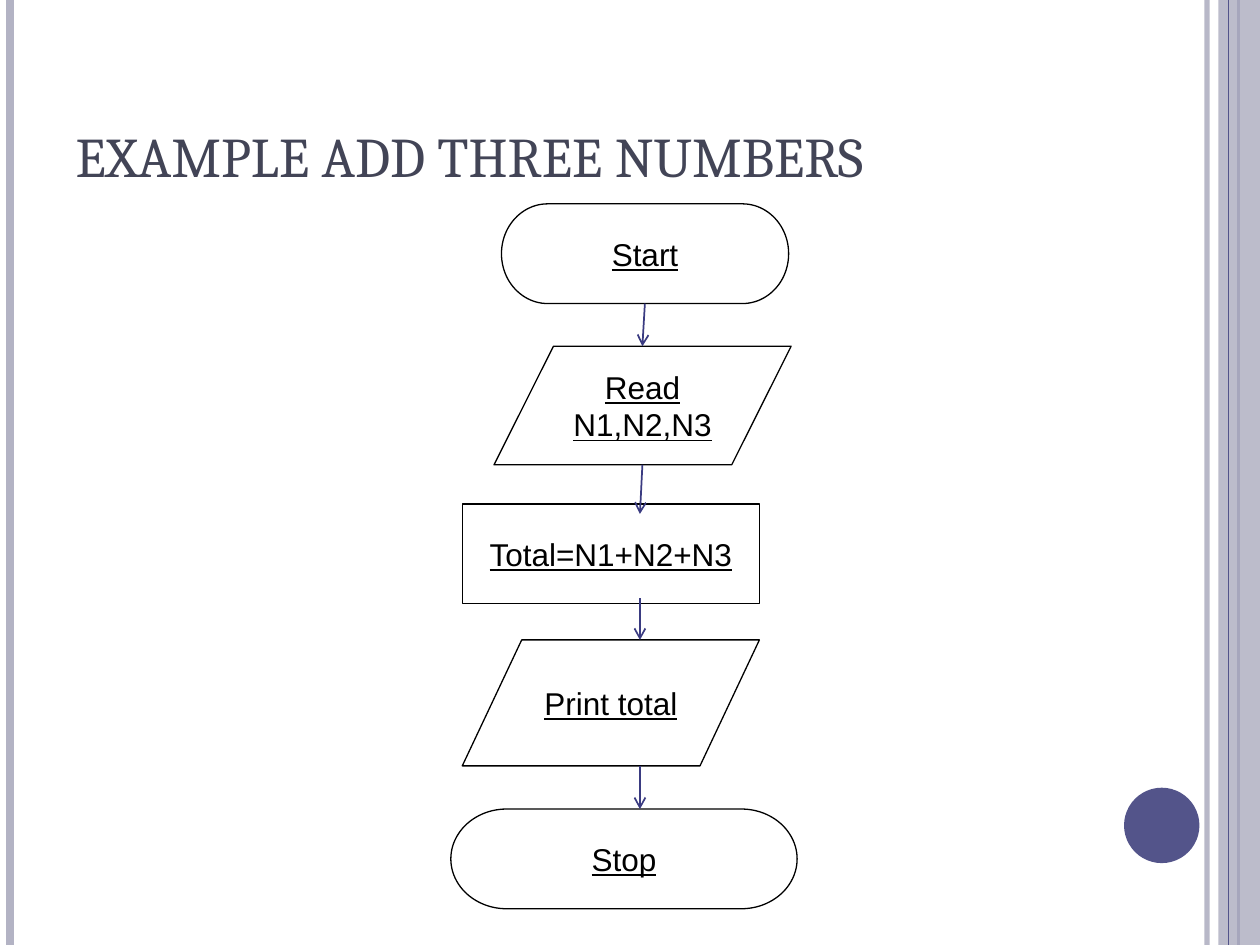
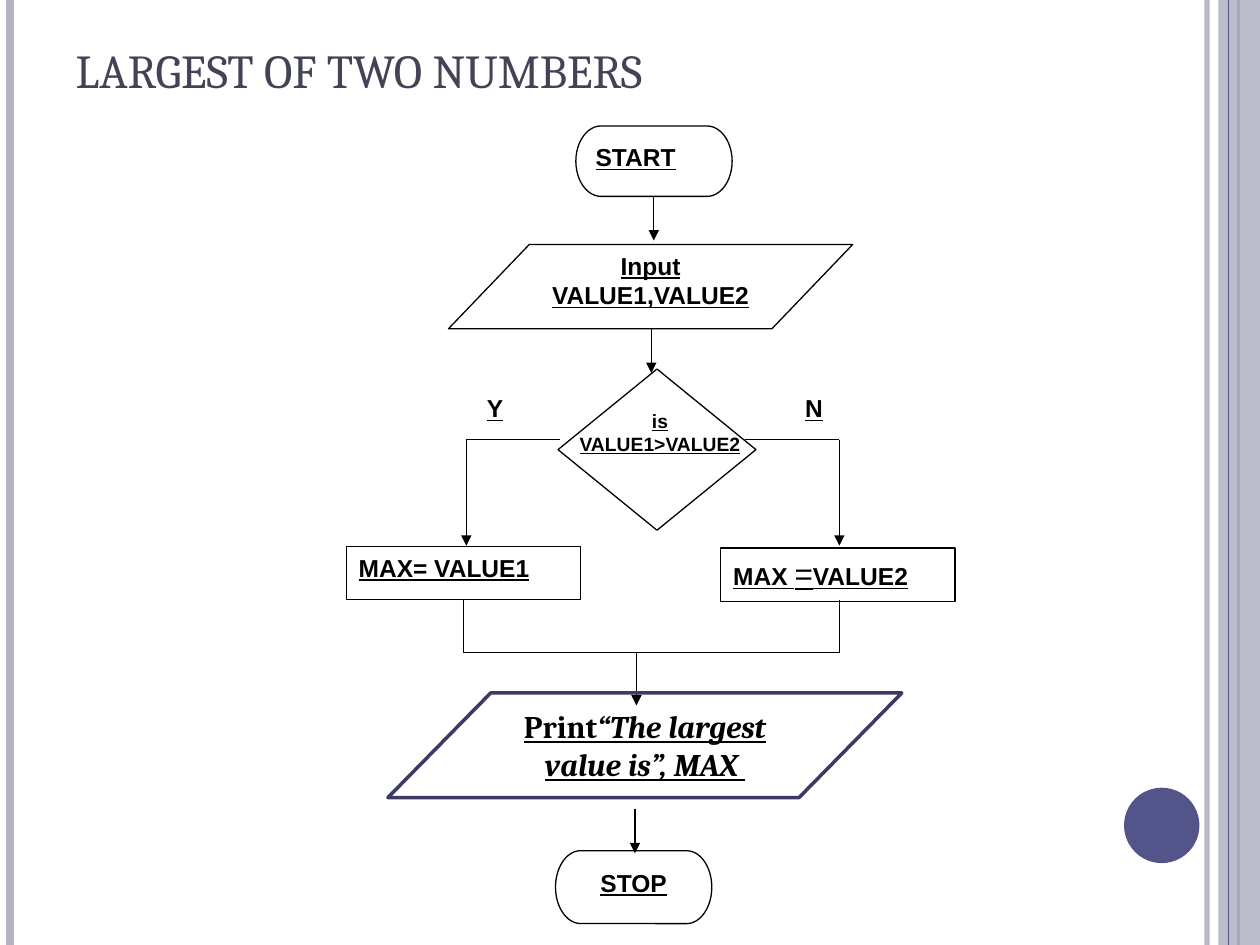
from dataclasses import dataclass

from lxml import etree
from pptx import Presentation
from pptx.dml.color import RGBColor
from pptx.enum.shapes import MSO_CONNECTOR, MSO_SHAPE
from pptx.enum.text import MSO_ANCHOR, MSO_AUTO_SIZE, PP_ALIGN
from pptx.oxml.ns import qn
from pptx.util import Cm, Pt

STRAIGHT = MSO_CONNECTOR.STRAIGHT
PROCESS = MSO_SHAPE.FLOWCHART_PROCESS
DATA = MSO_SHAPE.FLOWCHART_DATA
TERMINATOR = MSO_SHAPE.FLOWCHART_TERMINATOR
DECISION = MSO_SHAPE.FLOWCHART_DECISION
LEFT, CENTER = PP_ALIGN.LEFT, PP_ALIGN.CENTER
TOP, MIDDLE, BOTTOM = MSO_ANCHOR.TOP, MSO_ANCHOR.MIDDLE, MSO_ANCHOR.BOTTOM


@dataclass(frozen=True)
class Theme:
    title: str = "424456"
    band: str = "B3B3C4"
    accent: str = "53548A"
    ink: str = "000000"
    arrow: str = "3A3B81"
    frame: str = "3B3B64"
    head_font: str = "Cambria"
    body_font: str = "Arial"
    body: int = 18
    label: int = 14
    small: int = 11
    thin: float = 0.75


T = Theme()


def add_line(s, x1, y1, x2, y2, color=T.ink, width=T.thin, tail=None, alpha=None):
    c = s.shapes.add_connector(STRAIGHT, Cm(x1), Cm(y1), Cm(x2), Cm(y2))
    c.line.color.rgb = RGBColor.from_string(color)
    c.line.width = Pt(width)
    spPr = c._element.spPr
    if alpha:
        etree.SubElement(spPr.find(".//" + qn("a:srgbClr")), qn("a:alpha"), val=str(alpha * 1000))
    if tail:
        etree.SubElement(spPr.find(qn("a:ln")), qn("a:tailEnd"), type=tail)
    etree.SubElement(spPr, qn("a:effectLst"))


def add_node(s, kind, box, paragraphs, size, bold=False, align=CENTER, anchor=TOP,
             wrap=True, font=T.body_font, color=T.ink, width=T.thin):
    box = [Cm(v) for v in box]
    if kind is None:
        sp = s.shapes.add_textbox(*box)
    else:
        sp = s.shapes.add_shape(kind, *box)
        sp.shadow.inherit = False
        sp.fill.background()
        sp.line.color.rgb = RGBColor.from_string(color)
        sp.line.width = Pt(width)
    tf = sp.text_frame
    tf.word_wrap = wrap
    tf.vertical_anchor = anchor
    for i, runs in enumerate(paragraphs):
        p = tf.add_paragraph() if i else tf.paragraphs[0]
        p.alignment = align
        for text, changes in runs:
            r = p.add_run()
            r.text = text
            r.font.color.rgb = RGBColor.from_string(T.ink)
            look = dict(name=font, size=Pt(size), bold=bold, underline=True)
            for name, value in {**look, **changes}.items():
                setattr(r.font, name, value)


prs = Presentation()
prs.slide_width, prs.slide_height = Cm(25.4), Cm(19.05)
layout = prs.slide_layouts[5]
for ph in list(layout.placeholders):
    if ph.placeholder_format.idx:
        ph._element.getparent().remove(ph._element)

slides = []
for text, height, size in [("EXAMPLE ADD THREE NUMBERS", 3.18, 32),
                           ("LARGEST OF TWO NUMBERS", 1.35, 27)]:
    s = prs.slides.add_slide(layout)
    slides.append(s)
    sp = s.shapes.title
    sp.left, sp.top, sp.width, sp.height = Cm(1.27), Cm(0.76), Cm(20.75), Cm(height)
    tf = sp.text_frame
    tf.auto_size = MSO_AUTO_SIZE.NONE
    tf.word_wrap = True
    tf.vertical_anchor = BOTTOM
    p = tf.paragraphs[0]
    p.alignment = LEFT
    r = p.add_run()
    r.text = text
    r.font.name = T.head_font
    r.font.size = Pt(size)
    r.font.color.rgb = RGBColor.from_string(T.title)

s = slides[0]
for x, color, width, alpha in [(24.33, T.band, 3, 93), (0.2, T.band, 4.5, None),
                               (24.97, T.accent, 1.5, None)]:
    add_line(s, x, 0, x, 19.05, color, width, alpha=alpha)
side = s.shapes.add_shape(MSO_SHAPE.RECTANGLE, Cm(24.56), 0, Cm(0.84), Cm(19.05))
add_line(s, 24.77, 0, 24.77, 19.05, T.accent)
disc = s.shapes.add_shape(MSO_SHAPE.OVAL, Cm(22.66), Cm(15.88), Cm(1.52), Cm(1.52))
for sp, color in [(side, T.band), (disc, T.accent)]:
    sp.shadow.inherit = False
    sp.fill.solid()
    sp.fill.fore_color.rgb = RGBColor.from_string(color)
    sp.line.fill.background()
etree.SubElement(side._element.spPr.find(".//" + qn("a:srgbClr")), qn("a:alpha"), val="87000")
for sp in list(s.shapes):
    if not sp.is_placeholder:
        layout.shapes._spTree.append(sp._element)

for kind, box, lines in [
    (TERMINATOR, (10.11, 4.11, 5.79, 2.01), ["Start"]),
    (DATA, (9.96, 6.98, 5.99, 2.39), ["Read", "N1,N2,N3"]),
    (PROCESS, (9.32, 10.16, 5.99, 2.01), ["Total=N1+N2+N3"]),
    (DATA, (9.32, 12.9, 5.99, 2.54), ["Print total"]),
    (TERMINATOR, (9.09, 16.31, 6.98, 2.01), ["Stop"]),
]:
    add_node(s, kind, box, [[(t, {})] for t in lines], T.body, anchor=MIDDLE, wrap=False)
for ends in [(13, 6.12, 12.95, 6.98), (12.95, 9.37, 12.9, 10.36),
             (12.9, 12.06, 12.9, 12.9), (12.9, 15.44, 12.9, 16.31)]:
    add_line(s, *ends, T.arrow, 1, "arrow")

s = slides[1]
yes_x, no_x, branch_y, join_y = 9.4, 16.92, 8.86, 13.16
for ends in [(15.01, branch_y, no_x, branch_y), (yes_x, branch_y, 11.28, branch_y),
             (9.35, 12.09, 9.35, join_y), (9.35, join_y, no_x, join_y),
             (no_x, join_y, no_x, 12.09)]:
    add_line(s, *ends)
for x, y1, y2 in [(13.18, 3.96, 4.85), (13.13, 6.63, 7.52), (yes_x, branch_y, 11),
                  (no_x, branch_y, 11), (12.83, join_y, 14.22), (12.8, 16.31, 17.2)]:
    add_line(s, x, y1, x, y2, tail="triangle")

equals = {"size": Pt(T.body), "bold": False}
for kind, box, paragraphs, size, align in [
    (TERMINATOR, (11.61, 2.54, 3.15, 1.42), [[("START", {})]], T.label, LEFT),
    (DATA, (9.04, 4.93, 8.15, 1.7), [[("Input", {})], [("VALUE1,VALUE2", {})]], T.label, CENTER),
    (DECISION, (11.25, 7.44, 3.99, 3.25), [], T.small, CENTER),
    (None, (10.31, 8.13, 5.99, 1.78), [[("is", {})], [("VALUE1>VALUE2", {})]], T.small, CENTER),
    (None, (9.04, 7.8, 1.88, 1.07), [[("Y", {})]], T.label, CENTER),
    (None, (15.98, 7.8, 1.88, 1.07), [[("N", {})]], T.label, LEFT),
    (PROCESS, (6.98, 11.02, 4.72, 1.07), [[("MAX= VALUE1", {})]], T.label, LEFT),
    (PROCESS, (14.53, 11.05, 4.72, 1.07),
     [[("MAX ", {}), ("=", equals), ("VALUE2", {})]], T.label, LEFT),
    (TERMINATOR, (11.2, 17.15, 3.15, 1.47), [[("STOP", {})]], T.label, CENTER),
]:
    add_node(s, kind, box, paragraphs, size, True, align)
add_node(s, DATA, (7.82, 13.97, 10.36, 2.11),
         [[("Print", {}), ("“The largest value is”, MAX", {"italic": True}), (" ", {})]],
         T.body, True, anchor=MIDDLE, font=T.head_font, color=T.frame, width=2)

prs.save("out.pptx")
